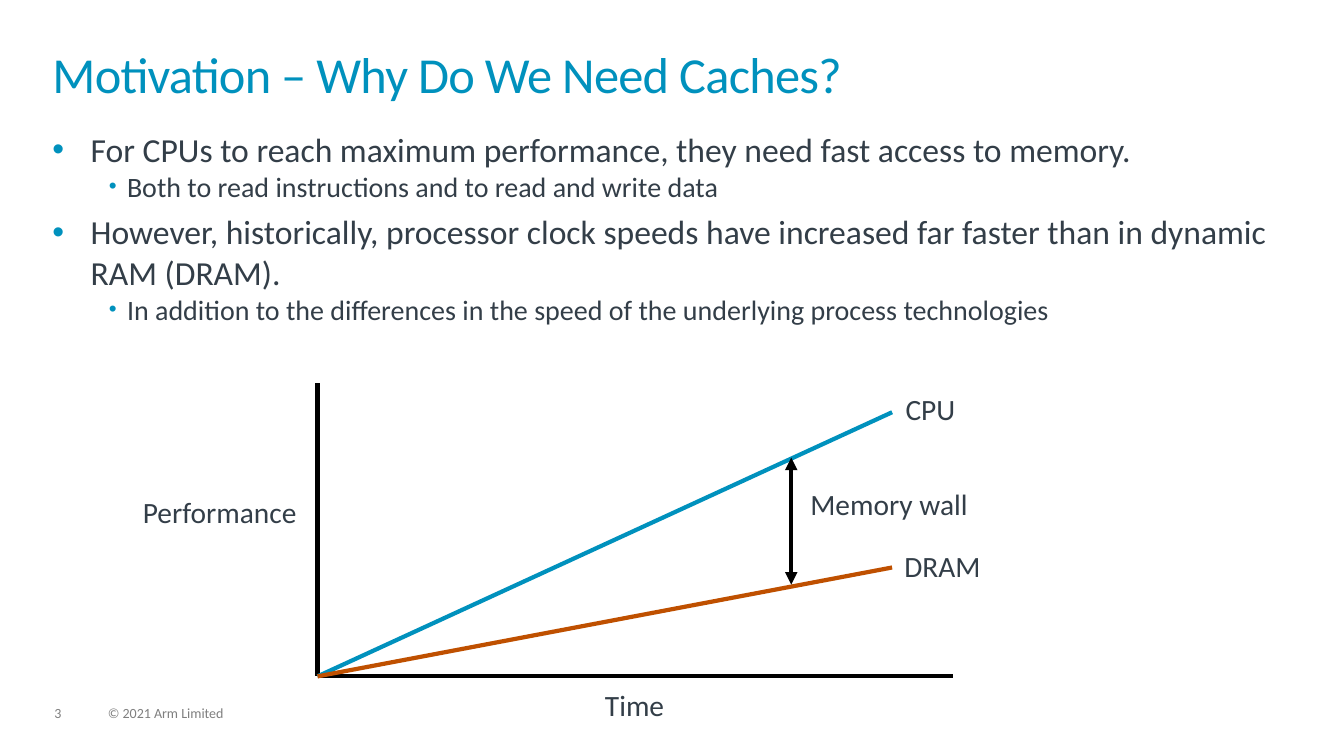
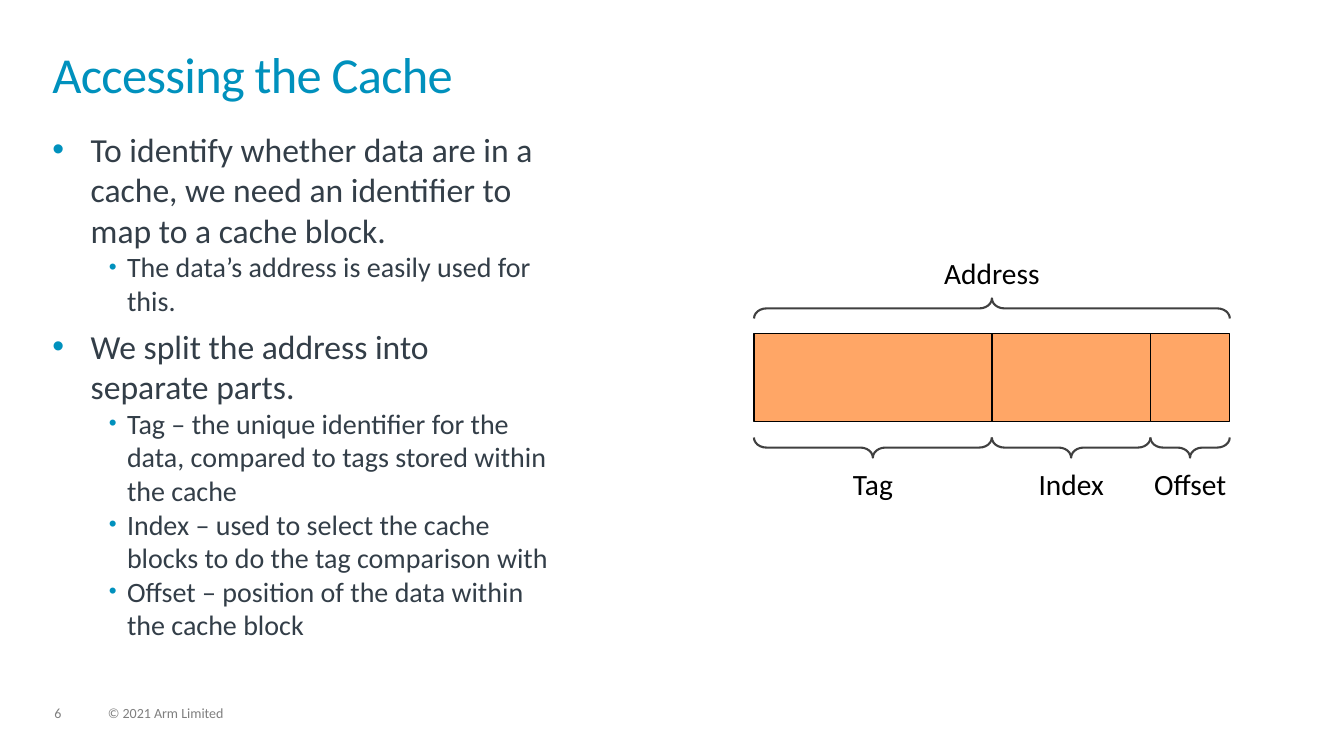
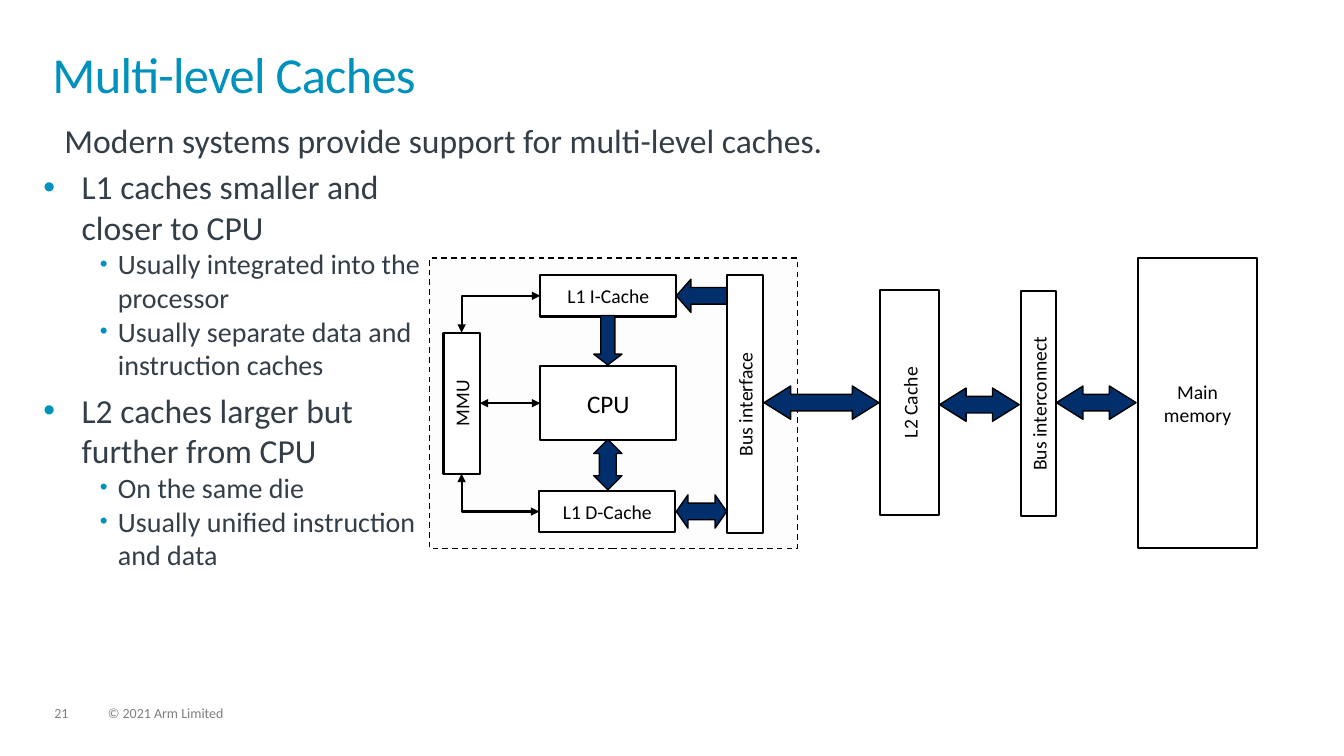
import itertools

import lxml.etree
import pptx
import pptx.dml.color
import pptx.enum.dml
import pptx.enum.shapes
import pptx.enum.text
import pptx.oxml.ns
import pptx.util

RGBColor = pptx.dml.color.RGBColor
SHAPE = pptx.enum.shapes.MSO_SHAPE
CONNECTOR = pptx.enum.shapes.MSO_CONNECTOR
ALIGN = pptx.enum.text.PP_ALIGN
ANCHOR = pptx.enum.text.MSO_ANCHOR
Pt = pptx.util.Pt
qn = pptx.oxml.ns.qn

TEAL = RGBColor(0x00, 0x91, 0xBD)
SLATE = RGBColor(0x33, 0x3E, 0x48)
GREY = RGBColor(0x7F, 0x7F, 0x7F)
BRACE_GREY = RGBColor(0x40, 0x40, 0x40)
RUST = RGBColor(0xBF, 0x50, 0x00)
ORANGE = RGBColor(0xFF, 0xA6, 0x66)
NAVY = RGBColor(0x00, 0x2F, 0x6C)
MIST = RGBColor(0xE5, 0xEC, 0xEB)
BLACK = RGBColor(0x00, 0x00, 0x00)
WHITE = RGBColor(0xFF, 0xFF, 0xFF)

FONT = "Calibri"
CELL = pptx.util.Inches(0.1)
COLUMNS, ROWS = 133.33, 75
MARGIN, CONTENT_WIDTH = 5.2, 122.8
BODY_TOP, BODY_HEIGHT = 12.8, 54.1
FOOTER_TOP = 70.1
BULLETS = [
    {"size": 24, "margin": 3.8, "hang": 3.8, "before": 6, "scale": 100},
    {"size": 20, "margin": 7.4, "hang": 1.8, "before": 0, "scale": 80},
]


def grid(*cells):
    return [round(cell * CELL) for cell in cells]


def add_element(parent, tag, **attributes):
    element = lxml.etree.SubElement(parent, qn(tag))
    for key, value in attributes.items():
        element.set(key, str(value))
    return element


def set_font(paragraph, size, color):
    paragraph.font.name = FONT
    paragraph.font.size = Pt(size)
    paragraph.font.color.rgb = color


def clear_insets(frame):
    frame.margin_left = frame.margin_right = frame.margin_top = frame.margin_bottom = 0


def place(placeholder, left, top, width, height):
    placeholder.left, placeholder.top, placeholder.width, placeholder.height = grid(
        left, top, width, height)
    frame = placeholder.text_frame
    clear_insets(frame)
    frame.word_wrap = True
    frame.auto_size = pptx.enum.text.MSO_AUTO_SIZE.NONE
    frame.vertical_anchor = ANCHOR.TOP
    return frame


def add_label(slide, text, left, top, width, height=3.2, size=21, color=SLATE,
              align=ALIGN.CENTER, wrap=False, spacing=0.9):
    frame = slide.shapes.add_textbox(*grid(left, top, width, height)).text_frame
    clear_insets(frame)
    frame.word_wrap = wrap
    paragraph = frame.paragraphs[0]
    paragraph.text = text
    paragraph.alignment = align
    paragraph.line_spacing = spacing
    set_font(paragraph, size, color)


def write_bullets(frame, items):
    for index, (level, text) in enumerate(items):
        style = BULLETS[level]
        paragraph = frame.paragraphs[0] if index == 0 else frame.add_paragraph()
        paragraph.text = text
        paragraph.level = level
        paragraph.space_before = Pt(style["before"] if index else 0)
        paragraph.space_after = Pt(0)
        properties = paragraph._p.get_or_add_pPr()
        margin, hang = grid(style["margin"], style["hang"])
        properties.set("marL", str(margin))
        properties.set("indent", str(-hang))
        add_element(add_element(properties, "a:buClr"), "a:srgbClr", val=TEAL)
        add_element(properties, "a:buSzPct", val=style["scale"] * 1000)
        add_element(properties, "a:buChar", char="•")
        set_font(paragraph, style["size"], SLATE)


def add_slide(deck, number, heading, items, left=MARGIN, top=BODY_TOP, width=CONTENT_WIDTH):
    slide = deck.slides.add_slide(deck.slide_layouts[1])
    frame = place(slide.shapes.title, MARGIN, 5.2, CONTENT_WIDTH, 7.2)
    title = frame.paragraphs[0]
    title.text = heading
    title.alignment = ALIGN.LEFT
    title.line_spacing = 0.85
    set_font(title, 36, TEAL)
    title._p.pPr.find(qn("a:defRPr")).set("spc", "-50")
    title.runs[0]._r.get_or_add_rPr().set("spc", "-50")
    write_bullets(place(slide.placeholders[1], left, top, width, BODY_HEIGHT), items)
    for text, start, span in ((str(number), 5.4, 3.4), ("© 2021 Arm Limited", 10.7, 50.7)):
        add_label(slide, text, start, FOOTER_TOP, span, 1.5, 10, GREY, ALIGN.LEFT, True)
    return slide


def add_figure(slide, kind, left, top, width, height, fill=None, line=BLACK, weight=1.0,
               adjustments=()):
    figure = slide.shapes.add_shape(kind, *grid(left, top, width, height))
    figure.shadow.inherit = False
    if fill is None:
        figure.fill.background()
    else:
        figure.fill.solid()
        figure.fill.fore_color.rgb = fill
    figure.line.color.rgb = line
    figure.line.width = Pt(weight)
    for index, value in enumerate(adjustments):
        figure.adjustments[index] = value
    return figure


def add_block(slide, lines, left, top, width, height, fill=WHITE, size=14, upright=False):
    block = add_figure(slide, SHAPE.RECTANGLE, left, top, width, height, fill, weight=1.5)
    frame = block.text_frame
    clear_insets(frame)
    frame.word_wrap = True
    frame.vertical_anchor = ANCHOR.MIDDLE
    if upright:
        frame._txBody.bodyPr.set("vert", "vert270")
    for index, text in enumerate(lines):
        paragraph = frame.paragraphs[0] if index == 0 else frame.add_paragraph()
        paragraph.text = text
        paragraph.alignment = ALIGN.CENTER
        set_font(paragraph, size, BLACK)
    return block


def add_line(slide, start, end, color=BLACK, weight=3.0, arrows=False, kind=CONNECTOR.STRAIGHT):
    connector = slide.shapes.add_connector(kind, *grid(*start, *end))
    connector.line.color.rgb = color
    connector.line.width = Pt(weight)
    if arrows:
        stroke = connector.line._get_or_add_ln()
        add_element(stroke, "a:headEnd", type="triangle")
        add_element(stroke, "a:tailEnd", type="triangle")
    add_element(connector._element.spPr, "a:effectLst")
    return connector


def join(slide, first, first_side, second, second_side, corner=False):
    kind = CONNECTOR.ELBOW if corner else CONNECTOR.STRAIGHT
    link = add_line(slide, (0, 0), (1, 1), weight=1.5, arrows=True, kind=kind)
    link.begin_connect(first, first_side)
    link.end_connect(second, second_side)
    if corner:
        link._element.spPr.find(qn("a:prstGeom")).set("prst", "bentConnector2")


def add_brace(slide, left, width, middle, rotation):
    depth = 2
    brace = add_figure(slide, SHAPE.LEFT_BRACE, left + (width - depth) / 2, middle - width / 2,
                       depth, width, line=BRACE_GREY, weight=1.5, adjustments=(0.62, 0.5))
    brace.rotation = rotation


def build_motivation(deck):
    slide = add_slide(deck, 3, "Motivation – Why Do We Need Caches?", [
        (0, "For CPUs to reach maximum performance, they need fast access to memory."),
        (1, "Both to read instructions and to read and write data"),
        (0, "However, historically, processor clock speeds have increased far faster than "
            "in dynamic RAM (DRAM)."),
        (1, "In addition to the differences in the speed of the underlying process technologies"),
    ])
    origin = (31.5, 67.1)
    for end, color in (((31.5, 38), BLACK), ((94.5, 67.1), BLACK),
                       ((88.5, 40.9), TEAL), ((88.5, 56.3), RUST)):
        add_line(slide, end, origin, color)
    add_line(slide, (78.5, 45.4), (78.5, 58), arrows=True)
    for text, left, top, width in (("Performance", 14.1, 49.4, 15.4), ("Time", 60, 68.6, 5.9),
                                   ("Memory wall", 80.3, 48.6, 15.8), ("CPU", 89.8, 39.2, 5),
                                   ("DRAM", 89.7, 54.8, 7.6)):
        add_label(slide, text, left, top, width)


def build_address(deck):
    slide = add_slide(deck, 6, "Accessing the Cache", [
        (0, "To identify whether data are in a cache, we need an identifier to map to a "
            "cache block."),
        (1, "The data’s address is easily used for this."),
        (0, "We split the address into separate parts."),
        (1, "Tag – the unique identifier for the data, compared to tags stored within the cache"),
        (1, "Index – used to select the cache blocks to do the tag comparison with"),
        (1, "Offset – position of the data within the cache block"),
    ], width=49.6)
    left, width = 74.8, 47.2
    fields = {"Tag": 3, "Index": 2, "Offset": 1}
    share = width / sum(fields.values())
    starts = itertools.accumulate(fields.values(), initial=0)
    for (field, shares), start in zip(fields.items(), starts):
        field_left, field_width = left + start * share, shares * share
        add_figure(slide, SHAPE.RECTANGLE, field_left, 33.1, field_width, 8.7, ORANGE)
        add_brace(slide, field_left, field_width, 44.4, 270)
        add_label(slide, field, field_left, 46.6, field_width, color=BLACK)
    add_brace(slide, left, width, 30.6, 90)
    add_label(slide, "Address", left, 25.7, width, color=BLACK)


def build_levels(deck):
    slide = add_slide(deck, 21, "Multi-level Caches", [
        (0, "L1 caches smaller and closer to CPU"),
        (1, "Usually integrated into the processor"),
        (1, "Usually separate data and instruction caches"),
        (0, "L2 caches larger but further from CPU"),
        (1, "On the same die"),
        (1, "Usually unified instruction and data"),
    ], left=4.3, top=16.5, width=38)
    add_label(slide, "Modern systems provide support for multi-level caches.", 6.4, 11.9, 120.3,
              3.8, 24, align=ALIGN.LEFT, wrap=True, spacing=1.0)

    processor = add_figure(slide, SHAPE.RECTANGLE, 42.6, 25.6, 36.5, 28.8, MIST)
    processor.line.dash_style = pptx.enum.dml.MSO_LINE.DASH
    tint = processor._element.spPr.find(qn("a:solidFill")).find(qn("a:srgbClr"))
    add_element(tint, "a:alpha", val=10000)

    cpu = add_block(slide, ["CPU"], 53.6, 36.3, 13.5, 7.4, size=18)
    instruction_cache = add_block(slide, ["L1 I-Cache"], 53.6, 27.3, 13.5, 4.1)
    data_cache = add_block(slide, ["L1 D-Cache"], 53.5, 48.7, 13.5, 4.1)
    mmu = add_block(slide, ["MMU"], 44, 33, 3.6, 14, upright=True)
    add_block(slide, ["Bus interface"], 72.1, 27.3, 3.6, 25.6, upright=True)
    add_block(slide, ["L2 Cache"], 87.3, 28.8, 5.9, 22.3, None, upright=True)
    add_block(slide, ["Bus interconnect"], 101.3, 28.9, 3.5, 22.3, None, upright=True)
    add_block(slide, ["Main", "memory"], 112.9, 25.6, 11.8, 28.8, None)

    join(slide, mmu, 3, cpu, 1)
    join(slide, instruction_cache, 1, mmu, 0, corner=True)
    join(slide, data_cache, 1, mmu, 2, corner=True)

    both_ways = SHAPE.LEFT_RIGHT_ARROW
    for kind, left, top, width, height, head in (
            (SHAPE.DOWN_ARROW, 58.9, 31.3, 2.8, 4.9, 0.38),
            (SHAPE.LEFT_ARROW, 67.1, 27.7, 5, 3.3, 0.44),
            (SHAPE.UP_DOWN_ARROW, 58.9, 43.6, 2.8, 5, 0.6),
            (both_ways, 67.1, 49.1, 5, 3.3, 0.35),
            (both_ways, 75.8, 38.3, 11.4, 3.3, 0.8),
            (both_ways, 93.2, 38.5, 7.9, 3.3, 0.8),
            (both_ways, 104.8, 38.3, 7.9, 3.3, 0.8)):
        add_figure(slide, kind, left, top, width, height, NAVY, adjustments=(0.5, head))


def main():
    deck = pptx.Presentation()
    deck.slide_width, deck.slide_height = grid(COLUMNS, ROWS)
    build_motivation(deck)
    build_address(deck)
    build_levels(deck)
    deck.save("out.pptx")


if __name__ == "__main__":
    main()
